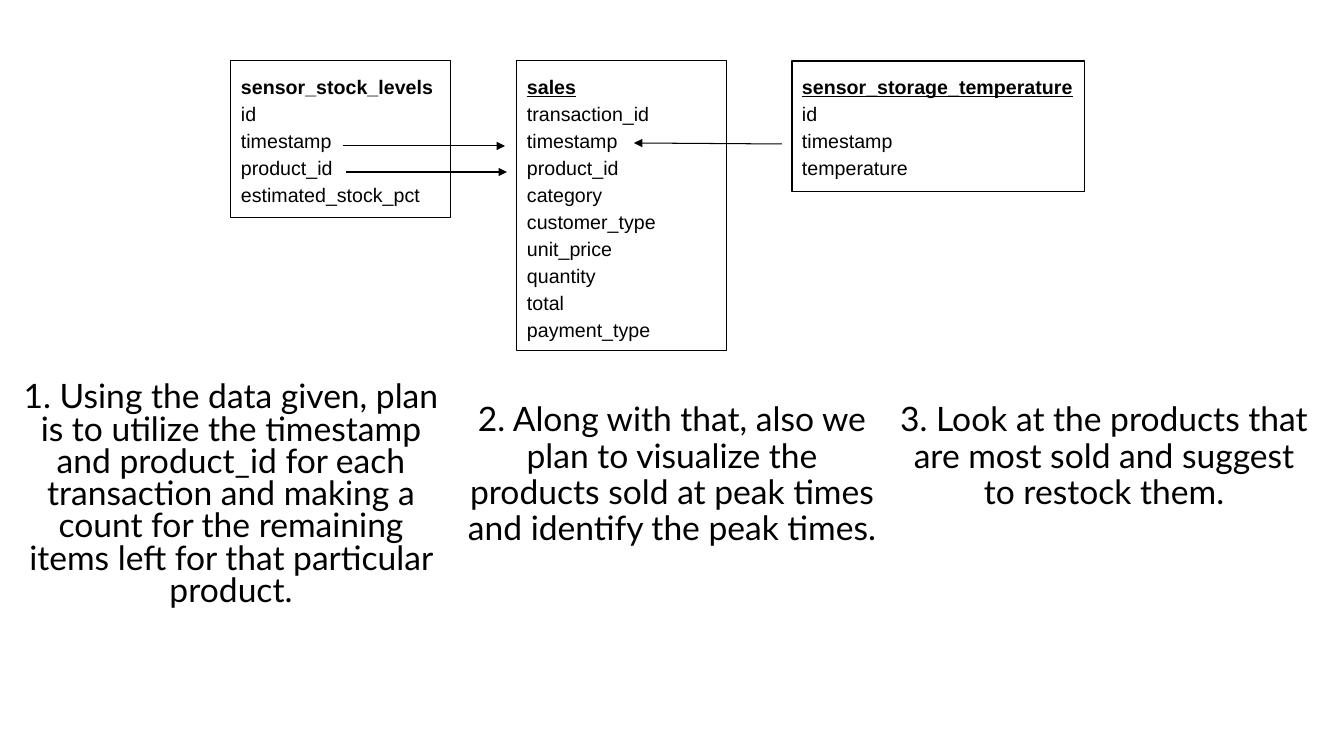
from lxml.etree import SubElement
from pptx import Presentation
from pptx.dml.color import RGBColor
from pptx.enum.shapes import MSO_CONNECTOR, MSO_SHAPE
from pptx.enum.text import MSO_ANCHOR, MSO_AUTO_SIZE, PP_ALIGN
from pptx.oxml.ns import qn
from pptx.util import Emu, Pt

BLACK = RGBColor(0x00, 0x00, 0x00)
WHITE = RGBColor(0xFF, 0xFF, 0xFF)


def px(length):
    return Emu(round(length * 914400 / 100.8))


def apply(target, values):
    for name, value in values.items():
        setattr(target, name, value)


class SchemaPage:
    field_font = {"name": "Arial", "size": Pt(14), "bold": False}
    step_font = {"name": "Lato", "size": Pt(24)}
    field_frame = {
        "word_wrap": True,
        "auto_size": MSO_AUTO_SIZE.SHAPE_TO_FIT_TEXT,
        "vertical_anchor": MSO_ANCHOR.TOP,
        "margin_left": px(10),
        "margin_right": px(10),
        "margin_top": px(10),
        "margin_bottom": px(10),
    }
    step_frame = {
        "word_wrap": True,
        "auto_size": MSO_AUTO_SIZE.NONE,
        "vertical_anchor": MSO_ANCHOR.TOP,
    }
    line_width = Pt(0.75)

    def __init__(self, deck):
        self.page = deck.slides.add_slide(deck.slide_layouts[0])
        fill = self.page.background.fill
        fill.solid()
        fill.fore_color.rgb = WHITE
        title = self.page.shapes.title.element
        title.getparent().remove(title)

    def span(self, para, text, font):
        span = para.add_run()
        span.text = text
        apply(span.font, font)
        span.font.color.rgb = BLACK

    def outline(self, line):
        line.color.rgb = BLACK
        line.width = self.line_width

    def entity(self, left, top, width, height, fields, underline=True):
        box = self.page.shapes.add_shape(
            MSO_SHAPE.RECTANGLE, px(left), px(top), px(width), px(height)
        )
        box.shadow.inherit = False
        box.fill.background()
        self.outline(box.line)
        frame = box.text_frame
        apply(frame, self.field_frame)
        for index, field in enumerate(fields):
            para = frame.add_paragraph() if index else frame.paragraphs[0]
            apply(para, {"alignment": PP_ALIGN.LEFT, "line_spacing": 1.15})
            heading = {} if index else {"bold": True, "underline": underline}
            self.span(para, field, {**self.field_font, **heading})

    def arrow(self, *ends):
        connector = self.page.shapes.add_connector(
            MSO_CONNECTOR.STRAIGHT, *map(px, ends)
        )
        self.outline(connector.line)
        properties = connector.element.spPr
        SubElement(properties.find(qn("a:ln")), qn("a:tailEnd"), type="triangle")
        SubElement(properties, qn("a:effectLst"))

    def write_step(self, box, text, spacing):
        apply(box.text_frame, self.step_frame)
        para = box.text_frame.paragraphs[0]
        apply(para, {
            "alignment": PP_ALIGN.CENTER,
            "line_spacing": spacing,
            "space_before": Pt(10),
        })
        self.span(para, text, self.step_font)

    def main_step(self, left, top, width, height, text):
        box = self.page.placeholders[1]
        apply(box, {
            "left": px(left),
            "top": px(top),
            "width": px(width),
            "height": px(height),
        })
        self.write_step(box, text, 0.8)

    def step(self, left, top, width, height, text):
        box = self.page.shapes.add_textbox(
            px(left), px(top), px(width), px(height)
        )
        self.write_step(box, text, 0.9)


def main():
    deck = Presentation()
    apply(deck, {"slide_width": px(1344), "slide_height": px(756)})
    schema = SchemaPage(deck)

    schema.main_step(
        12, 378, 438, 257,
        "1. Using the data given, plan is to utilize the timestamp and product_id "
        "for each transaction and making a count for the remaining items left "
        "for that particular product.",
    )
    schema.entity(517, 61, 210, 290, [
        "sales", "transaction_id", "timestamp", "product_id", "category",
        "customer_type", "unit_price", "quantity", "total", "payment_type",
    ])
    schema.entity(792, 61, 293, 131, [
        "sensor_storage_temperature", "id", "timestamp", "temperature",
    ])
    schema.entity(231, 61, 220, 157, [
        "sensor_stock_levels", "id", "timestamp", "product_id",
        "estimated_stock_pct",
    ], underline=False)

    schema.arrow(346, 172, 507, 172)
    schema.arrow(343, 146, 505, 146)
    schema.arrow(782, 144, 634, 143)

    schema.step(
        453, 398, 438, 157,
        "2. Along with that, also we plan to visualize the products sold "
        "at peak times and identify the peak times.",
    )
    schema.step(
        885, 398, 438, 157,
        "3. Look at the products that are most sold and suggest to restock them.",
    )
    deck.save("out.pptx")


if __name__ == "__main__":
    main()
